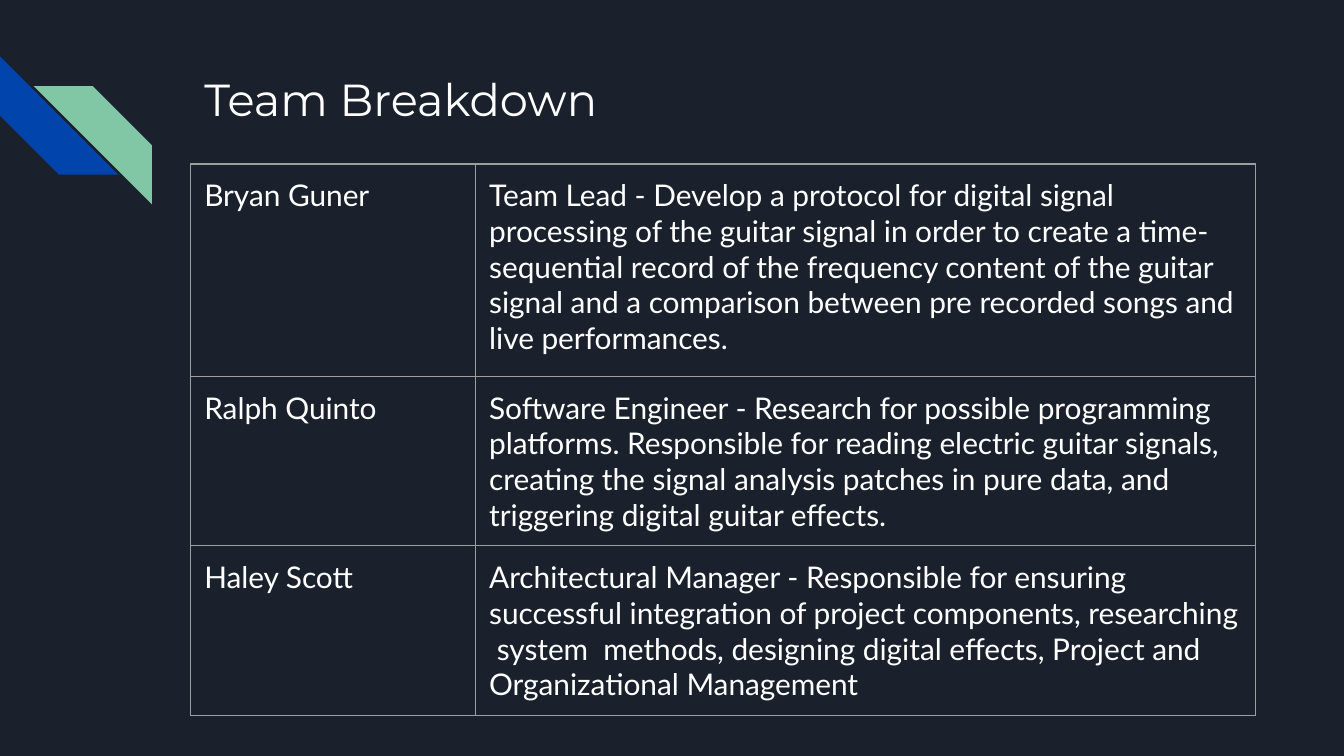
from lxml.etree import SubElement
from pptx import Presentation
from pptx.dml.color import RGBColor
from pptx.enum.shapes import MSO_SHAPE
from pptx.enum.text import MSO_ANCHOR, PP_ALIGN
from pptx.oxml.ns import qn
from pptx.util import Inches, Pt

# Content
TITLE = "Team Breakdown"
TEAM = [
    ("Bryan Guner",
     "Team Lead - Develop a protocol for digital signal processing of the guitar "
     "signal in order to create a time-sequential record of the frequency content "
     "of the guitar signal and a comparison between pre recorded songs and live "
     "performances."),
    ("Ralph Quinto",
     "Software Engineer - Research for possible programming platforms. Responsible "
     "for reading electric guitar signals, creating the signal analysis patches in "
     "pure data, and triggering digital guitar effects."),
    ("Haley Scott",
     "Architectural Manager - Responsible for ensuring successful integration of "
     "project components, researching  system  methods, designing digital effects, "
     "Project and Organizational Management"),
]

# Theme and layout
THEME = {
    "bg": "1B212C", "text": "FFFFFF", "border": "9E9E9E",
    "blue": "0145AC", "green": "82C7A5",
    "title": ("Montserrat", 24), "body": ("Lato", 16), "border_pt": 0.75,
}
LEFT, TABLE_TOP, INSET, STRIPE = 1.42, 1.22, 0.1, 0.88
COLS = [2.12, 5.8]
ROWS = [1.58, 1.26, 1.26]


def color(name):
    return RGBColor.from_string(THEME[name])


def style_paragraph(p, role):
    name, size = THEME[role]
    p.font.name, p.font.size = name, Pt(size)
    p.font.color.rgb = color("text")
    p.alignment = PP_ALIGN.LEFT


def set_insets(target):
    target.margin_left = target.margin_right = Inches(INSET)
    target.margin_top = target.margin_bottom = Inches(INSET)
    target.vertical_anchor = MSO_ANCHOR.TOP


def add_stripe(s, left, top, fill):
    sp = s.shapes.add_shape(MSO_SHAPE.DIAGONAL_STRIPE, Inches(left), Inches(top),
                            Inches(STRIPE), Inches(STRIPE))
    sp.shadow.inherit = False
    sp.fill.solid()
    sp.fill.fore_color.rgb = color(fill)
    sp.line.fill.background()
    return sp


def add_borders(cell):
    tcPr = cell._tc.get_or_add_tcPr()
    for side in ("a:lnL", "a:lnR", "a:lnT", "a:lnB"):
        ln = SubElement(tcPr, qn(side), w=str(Pt(THEME["border_pt"])))
        fill = SubElement(ln, qn("a:solidFill"))
        SubElement(fill, qn("a:srgbClr"), val=THEME["border"])


# Widescreen slide, 16:9
prs = Presentation()
prs.slide_width = Inches(10)
prs.slide_height = prs.slide_width * 9 // 16
s = prs.slides.add_slide(prs.slide_layouts[5])
s.background.fill.solid()
s.background.fill.fore_color.rgb = color("bg")

# Corner stripes
add_stripe(s, 0, 0.42, "blue").rotation = 270
green = add_stripe(s, 0.25, 0.64, "green")
green._element.spPr.xfrm.set("flipH", "1")

# Title
title = s.shapes.title
title.left, title.top = Inches(LEFT), Inches(0.43)
title.width, title.height = Inches(7.7), Inches(1)
tf = title.text_frame
tf.text = TITLE
tf.word_wrap = True
set_insets(tf)
style_paragraph(tf.paragraphs[0], "title")

# Team table
table = s.shapes.add_table(len(TEAM), len(COLS), Inches(LEFT), Inches(TABLE_TOP),
                           Inches(sum(COLS)), Inches(sum(ROWS))).table
table.first_row = table.horz_banding = False
for column, width in zip(table.columns, COLS):
    column.width = Inches(width)
for row, height, member in zip(table.rows, ROWS, TEAM):
    row.height = Inches(height)
    for cell, text in zip(row.cells, member):
        cell.text = text
        set_insets(cell)
        add_borders(cell)
        cell.fill.background()
        style_paragraph(cell.text_frame.paragraphs[0], "body")

prs.save("out.pptx")
